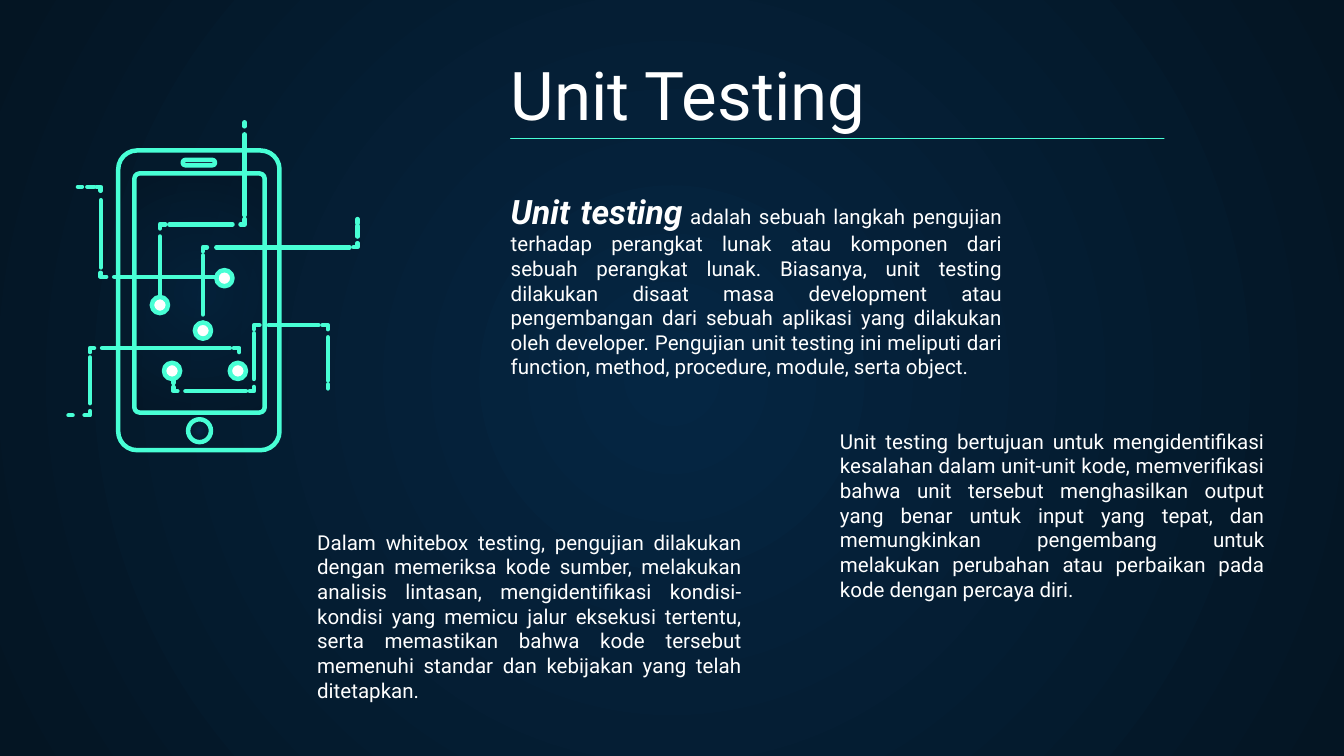
from dataclasses import dataclass
from typing import Any

from pptx import Presentation
from pptx.dml.color import RGBColor as Color
from pptx.enum.shapes import MSO_CONNECTOR as Joint, MSO_SHAPE as Kind
from pptx.enum.text import MSO_ANCHOR as Anchor, MSO_AUTO_SIZE as Fit, PP_ALIGN as Align
from pptx.oxml import parse_xml
from pptx.oxml.ns import nsdecls, qn
from pptx.util import Inches, Pt

Point = tuple[float, float]


@dataclass(frozen=True)
class Theme:
    font: str = "Roboto"
    mint: str = "48FFD5"
    white: str = "FFFFFF"
    dark: str = "161234"
    core: str = "052643"
    edge: str = "041523"
    title: float = 36
    lead: float = 18
    body: float = 11
    rule: float = 0.75
    trace: float = 2.4


@dataclass(frozen=True)
class Box:
    left: float
    top: float
    width: float
    height: float

    def spot(self) -> list[int]:
        return [Inches(v) for v in (self.left, self.top, self.width, self.height)]


@dataclass(frozen=True)
class Part:
    kind: Kind
    box: Box
    fill: str = ""
    round: float = 0
    alpha: int = 100


@dataclass(frozen=True)
class Note:
    box: Box
    text: str


@dataclass(frozen=True)
class Wire:
    node: Point
    dashes: list[list[Point]]


THEME = Theme()
GLOW = "glow"
DOT = 0.12
WIDE = 10

PHONE = [
    Part(Kind.ROUNDED_RECTANGLE, Box(0.88, 1.12, 1.2, 2.23), round=0.14),
    Part(Kind.ROUNDED_RECTANGLE, Box(1, 1.29, 0.97, 1.78), GLOW, 0.04, 53),
    Part(Kind.OVAL, Box(1.4, 3.12, 0.17, 0.17), GLOW),
    Part(Kind.ROUNDED_RECTANGLE, Box(1.36, 1.19, 0.24, 0.04), THEME.dark, 0.02),
]

WIRES = [
    Wire((1.28, 2.76), [
        [(1.29, 2.82), (1.29, 2.85)],
        [(1.29, 2.88), (1.29, 2.91), (1.32, 2.91)],
        [(1.38, 2.91), (1.83, 2.91)],
        [(1.86, 2.91), (1.89, 2.91), (1.89, 2.88)],
        [(1.89, 2.82), (1.89, 2.48)],
        [(1.89, 2.45), (1.89, 2.42), (1.93, 2.42)],
        [(2, 2.42), (2.37, 2.42)],
        [(2.4, 2.42), (2.44, 2.42), (2.44, 2.45)],
        [(2.44, 2.51), (2.44, 2.83)],
        [(2.44, 2.86), (2.44, 2.89)],
    ]),
    Wire((1.67, 2.07), [
        [(0.58, 1.39), (0.61, 1.39)],
        [(0.65, 1.39), (0.7, 1.39)],
        [(0.72, 1.39), (0.75, 1.39), (0.75, 1.42)],
        [(0.75, 1.49), (0.75, 1.99)],
        [(0.75, 2.03), (0.75, 2.06), (0.79, 2.06)],
        [(0.85, 2.06), (1.6, 2.06)],
        [(1.63, 2.06), (1.66, 2.06)],
    ]),
    Wire((1.77, 2.76), [
        [(0.51, 3.09), (0.54, 3.09)],
        [(0.63, 3.09), (0.67, 3.09), (0.67, 3.06)],
        [(0.67, 3), (0.67, 2.66)],
        [(0.67, 2.62), (0.67, 2.59), (0.7, 2.59)],
        [(0.76, 2.59), (1.71, 2.59)],
        [(1.74, 2.59), (1.78, 2.59), (1.78, 2.62)],
        [(1.78, 2.71), (1.78, 2.74)],
    ]),
    Wire((1.51, 2.46), [
        [(1.51, 2.44), (1.51, 2.4)],
        [(1.51, 2.34), (1.51, 1.9)],
        [(1.51, 1.87), (1.51, 1.84), (1.54, 1.84)],
        [(1.61, 1.84), (2.6, 1.84)],
        [(2.63, 1.84), (2.66, 1.84), (2.66, 1.81)],
        [(2.66, 1.76), (2.66, 1.68)],
        [(2.66, 1.66), (2.66, 1.63)],
    ]),
    Wire((1.19, 2.27), [
        [(1.82, 0.91), (1.82, 0.94)],
        [(1.82, 1), (1.82, 1.6)],
        [(1.82, 1.63), (1.82, 1.67), (1.79, 1.67)],
        [(1.73, 1.67), (1.26, 1.67)],
        [(1.23, 1.67), (1.19, 1.67), (1.19, 1.7)],
        [(1.19, 1.76), (1.19, 2.21)],
        [(1.19, 2.24), (1.19, 2.27)],
    ]),
]

TITLE = Note(Box(3.7, 0.44, 3.86, 0.66), "Unit Testing")
LEAD = "Unit testing"
INTRO = Note(Box(3.7, 1.32, 3.86, 1.55), " adalah sebuah langkah pengujian terhadap perangkat lunak atau komponen dari sebuah perangkat lunak. Biasanya, unit testing dilakukan disaat masa development atau pengembangan dari sebuah aplikasi yang dilakukan oleh developer. Pengujian unit testing ini meliputi dari function, method, procedure, module, serta object.")
NOTES = [
    Note(Box(5.65, 3.09, 3.86, 1.55), "Unit testing bertujuan untuk mengidentifikasi kesalahan dalam unit-unit kode, memverifikasi bahwa unit tersebut menghasilkan output yang benar untuk input yang tepat, dan memungkinkan pengembang untuk melakukan perubahan atau perbaikan pada kode dengan percaya diri."),
    Note(Box(1.76, 3.84, 3.86, 1.55), "Dalam whitebox testing, pengujian dilakukan dengan memeriksa kode sumber, melakukan analisis lintasan, mengidentifikasi kondisi-kondisi yang memicu jalur eksekusi tertentu, serta memastikan bahwa kode tersebut memenuhi standar dan kebijakan yang telah ditetapkan."),
]


def set_glow(props: Any, alpha: int = 100) -> None:
    stops = "".join(
        f'<a:gs pos="{pos}"><a:srgbClr val="{tint}"><a:alpha val="{alpha * 1000}"/></a:srgbClr></a:gs>'
        for pos, tint in ((0, THEME.core), (100000, THEME.edge))
    )
    glow = parse_xml(
        f'<a:gradFill {nsdecls("a")} rotWithShape="1"><a:gsLst>{stops}</a:gsLst><a:path path="circle">'
        '<a:fillToRect l="50000" t="50000" r="50000" b="50000"/></a:path></a:gradFill>'
    )
    props.replace(props.find(qn("a:noFill")), glow)


def set_line(shape: Any, width: float) -> None:
    shape.line.color.rgb = Color.from_string(THEME.mint)
    shape.line.width = Pt(width)
    shape.element.spPr.find(qn("a:ln")).set("cap", "rnd")


def add_part(shapes: Any, part: Part) -> None:
    shape = shapes.add_shape(part.kind, *part.box.spot())
    shape.shadow.inherit = False
    if part.round:
        shape.adjustments[0] = part.round / min(part.box.width, part.box.height)
    if part.fill and part.fill != GLOW:
        shape.fill.solid()
        shape.fill.fore_color.rgb = Color.from_string(part.fill)
    else:
        shape.fill.background()
        if part.fill:
            set_glow(shape.element.spPr, part.alpha)
    set_line(shape, THEME.trace)


def add_dash(shapes: Any, dash: list[Point], width: float) -> None:
    spots = [(Inches(x), Inches(y)) for x, y in dash]
    if len(spots) == 2:
        shape = shapes.add_connector(Joint.STRAIGHT, *spots[0], *spots[1])
        shape.element.spPr.append(parse_xml(f'<a:effectLst {nsdecls("a")}/>'))
    else:
        pen = shapes.build_freeform(*spots[0])
        pen.add_line_segments(spots[1:], close=False)
        shape = pen.convert_to_shape()
        shape.shadow.inherit = False
        shape.fill.background()
    set_line(shape, width)


def add_wire(shapes: Any, wire: Wire) -> None:
    for dash in wire.dashes:
        add_dash(shapes, dash, THEME.trace)
    x, y = wire.node
    add_part(shapes, Part(Kind.OVAL, Box(x - DOT / 2, y - DOT / 2, DOT, DOT), THEME.white))


def set_text(shape: Any, note: Note, size: float, align: Align, inset: float = 0.1, lead: str = "") -> None:
    shape.left, shape.top, shape.width, shape.height = note.box.spot()
    frame = shape.text_frame
    frame.word_wrap = True
    frame.auto_size = Fit.NONE
    frame.vertical_anchor = Anchor.TOP
    frame.margin_top = frame.margin_bottom = frame.margin_right = Inches(0.1)
    frame.margin_left = Inches(inset)
    para = frame.paragraphs[0]
    para.alignment = align
    para.space_before = Pt(0)
    para.font.name = THEME.font
    para.font.size = Pt(size)
    para.font.color.rgb = Color.from_string(THEME.white)
    if lead:
        run = para.add_run()
        run.text = lead
        run.font.size = Pt(THEME.lead)
        run.font.bold = run.font.italic = True
    para.add_run().text = note.text


def main() -> None:
    deck = Presentation()
    deck.slide_width, deck.slide_height = Inches(WIDE), Inches(WIDE * 9 / 16)
    slide = deck.slides.add_slide(deck.slide_layouts[0])
    shapes = slide.shapes
    slide.background.fill.background()
    set_glow(slide.element.find(".//" + qn("p:bgPr")))
    set_text(shapes.title, TITLE, THEME.title, Align.LEFT)
    shapes.title.text_frame.vertical_anchor = Anchor.BOTTOM
    set_text(slide.placeholders[1], INTRO, THEME.body, Align.JUSTIFY, lead=LEAD)
    add_dash(shapes, [(3.8, 1.03), (8.66, 1.03)], THEME.rule)
    for part in PHONE:
        add_part(shapes, part)
    for wire in WIRES:
        add_wire(shapes, wire)
    for note in NOTES:
        set_text(shapes.add_textbox(*note.box.spot()), note, THEME.body, Align.JUSTIFY, inset=0.6)
    deck.save("out.pptx")


if __name__ == "__main__":
    main()
